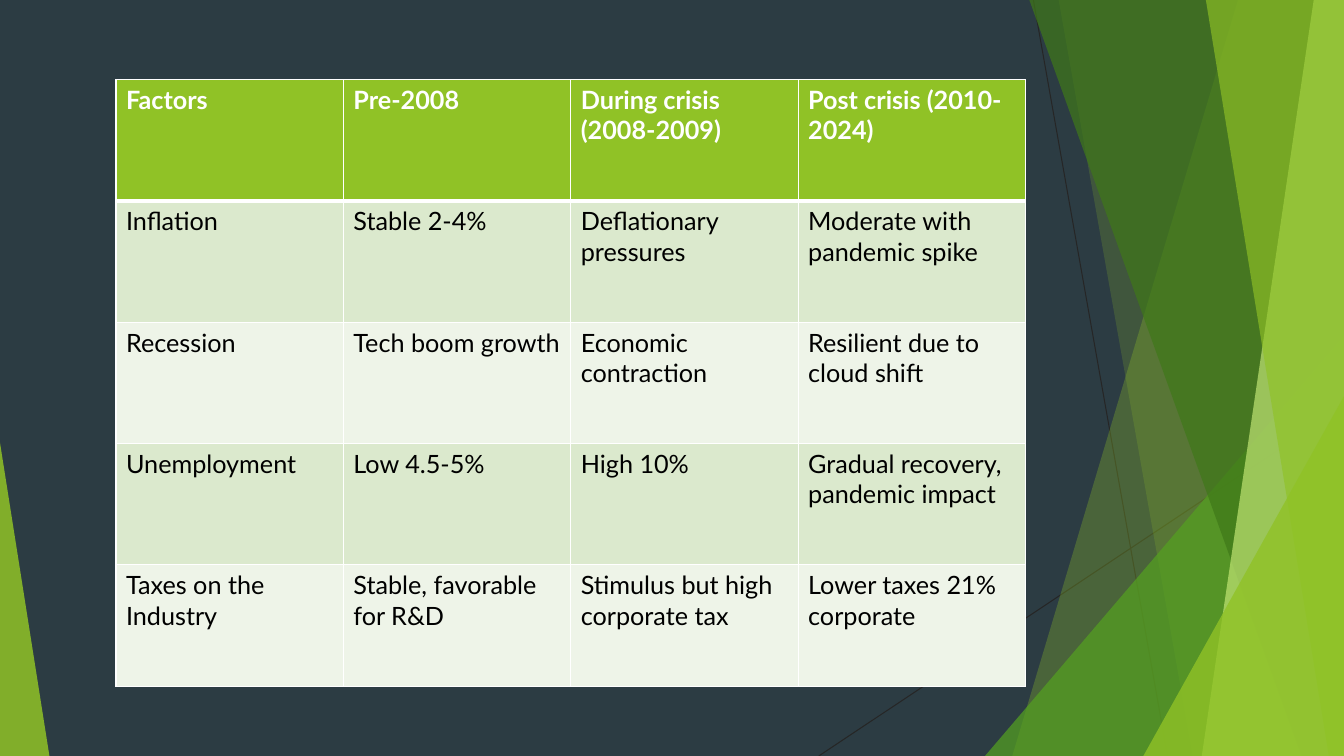
from lxml.etree import SubElement
from pptx import Presentation
from pptx.dml.color import RGBColor
from pptx.enum.shapes import MSO_CONNECTOR as Connector, MSO_SHAPE as Shape
from pptx.oxml.ns import qn
from pptx.util import Inches, Pt

COLORS = {
    "background": "2C3C43", "hairline": "262626", "lime": "90C226",
    "green": "54A021", "forest": "3F7819", "pale": "C0E474",
    "white": "FFFFFF", "black": "000000", "band": "DBE9CD", "band_light": "EEF4E8",
}

FACTORS = [
    ["Factors", "Pre-2008", "During crisis (2008-2009)", "Post crisis (2010-2024)"],
    ["Inflation", "Stable 2-4%", "Deflationary pressures", "Moderate with pandemic spike"],
    ["Recession", "Tech boom growth", "Economic contraction", "Resilient due to cloud shift"],
    ["Unemployment", "Low 4.5-5%", "High 10%", "Gradual recovery, pandemic impact"],
    ["Taxes on the Industry", "Stable, favorable for R&D", "Stimulus but high corporate tax",
     "Lower taxes 21% corporate"],
]


def rgb(name):
    return RGBColor.from_string(COLORS[name])


class SlideBuilder:
    """Draws on one slide; all lengths are percentages of the slide's size."""

    def __init__(self, presentation):
        self.width = presentation.slide_width
        self.height = presentation.slide_height
        self.font = "Lato"
        self.text_size = Pt(18)
        self.slide = presentation.slides.add_slide(presentation.slide_layouts[6])
        self.shapes = self.slide.shapes
        background = self.slide.background.fill
        background.solid()
        background.fore_color.rgb = rgb("background")

    def x(self, percent):
        return round(self.width * percent / 100)

    def y(self, percent):
        return round(self.height * percent / 100)

    def paint(self, shape, color, opacity):
        shape.shadow.inherit = False
        shape.line.fill.background()
        shape.fill.solid()
        shape.fill.fore_color.rgb = rgb(color)
        color_element = shape.fill._xPr.find(qn("a:solidFill"))[0]
        SubElement(color_element, qn("a:alpha"), val=str(opacity * 1000))

    def hairline(self, x1, y1, x2, y2):
        line = self.shapes.add_connector(
            Connector.STRAIGHT, self.x(x1), self.y(y1), self.x(x2), self.y(y2))
        line.line.color.rgb = rgb("hairline")
        line.line.width = Pt(0.75)
        SubElement(line._element.spPr, qn("a:effectLst"))

    def facet(self, top_x, bottom_x, color, opacity):
        """Full-height panel from a slanted left edge to the slide's right edge."""
        builder = self.shapes.build_freeform(self.x(top_x), 0, scale=1.0)
        corners = [(100, 0), (100, 100), (bottom_x, 100)]
        builder.add_line_segments([(self.x(x), self.y(y)) for x, y in corners], close=True)
        self.paint(builder.convert_to_shape(), color, opacity)

    def corner(self, left, top, width, apex, color, opacity):
        """Triangle standing on the bottom edge, its apex at a share of its width."""
        triangle = self.shapes.add_shape(
            Shape.ISOSCELES_TRIANGLE, self.x(left), self.y(top),
            self.x(width), self.y(100 - top))
        triangle.adjustments[0] = apex
        self.paint(triangle, color, opacity)

    def border(self, cell, side, points):
        properties = cell._tc.get_or_add_tcPr()
        line = SubElement(properties, qn(f"a:ln{side}"), w=str(Pt(points)))
        fill = SubElement(line, qn("a:solidFill"))
        SubElement(fill, qn("a:srgbClr"), val=COLORS["white"])

    def cell(self, cell, text, row):
        header = row == 0
        for side in "LRTB":
            heavy = (row, side) in [(0, "B"), (1, "T")]
            self.border(cell, side, 3 if heavy else 1)
        cell.fill.solid()
        cell.fill.fore_color.rgb = rgb(
            "lime" if header else "band" if row % 2 else "band_light")
        cell.text = text
        font = cell.text_frame.paragraphs[0].font
        font.name, font.size, font.bold = self.font, self.text_size, header
        font.color.rgb = rgb("white" if header else "black")

    def table(self, left, top, column_width, row_height, rows):
        row_count, column_count = len(rows), len(rows[0])
        table = self.shapes.add_table(
            row_count, column_count, self.x(left), self.y(top),
            self.x(column_width * column_count), self.y(row_height * row_count)).table
        for row, texts in enumerate(rows):
            for column, text in enumerate(texts):
                self.cell(table.cell(row, column), text, row)


def main():
    presentation = Presentation()
    presentation.slide_width = Inches(13.33)
    presentation.slide_height = Inches(7.5)
    builder = SlideBuilder(presentation)

    # Thin lines behind the facets
    builder.hairline(76.89, 0, 86.87, 100)
    builder.hairline(100, 53.73, 60.92, 100)

    # Overlapping translucent facets on the right
    builder.facet(92.12, 75.32, "lime", 30)
    builder.facet(78.77, 88.75, "lime", 20)
    builder.corner(73.29, 44.4, 26.71, 1, "green", 72)
    builder.facet(76.59, 96.85, "forest", 70)
    builder.facet(97.75, 89.42, "pale", 70)
    builder.facet(89.72, 98.87, "lime", 65)
    builder.corner(85.07, 52.4, 14.93, 1, "lime", 80)

    # Wedge on the left
    builder.corner(0, 58.53, 3.68, 0, "lime", 85)

    # Economic factors by period
    builder.table(8.63, 10.53, 16.92, 16.05, FACTORS)

    presentation.save("out.pptx")


if __name__ == "__main__":
    main()
